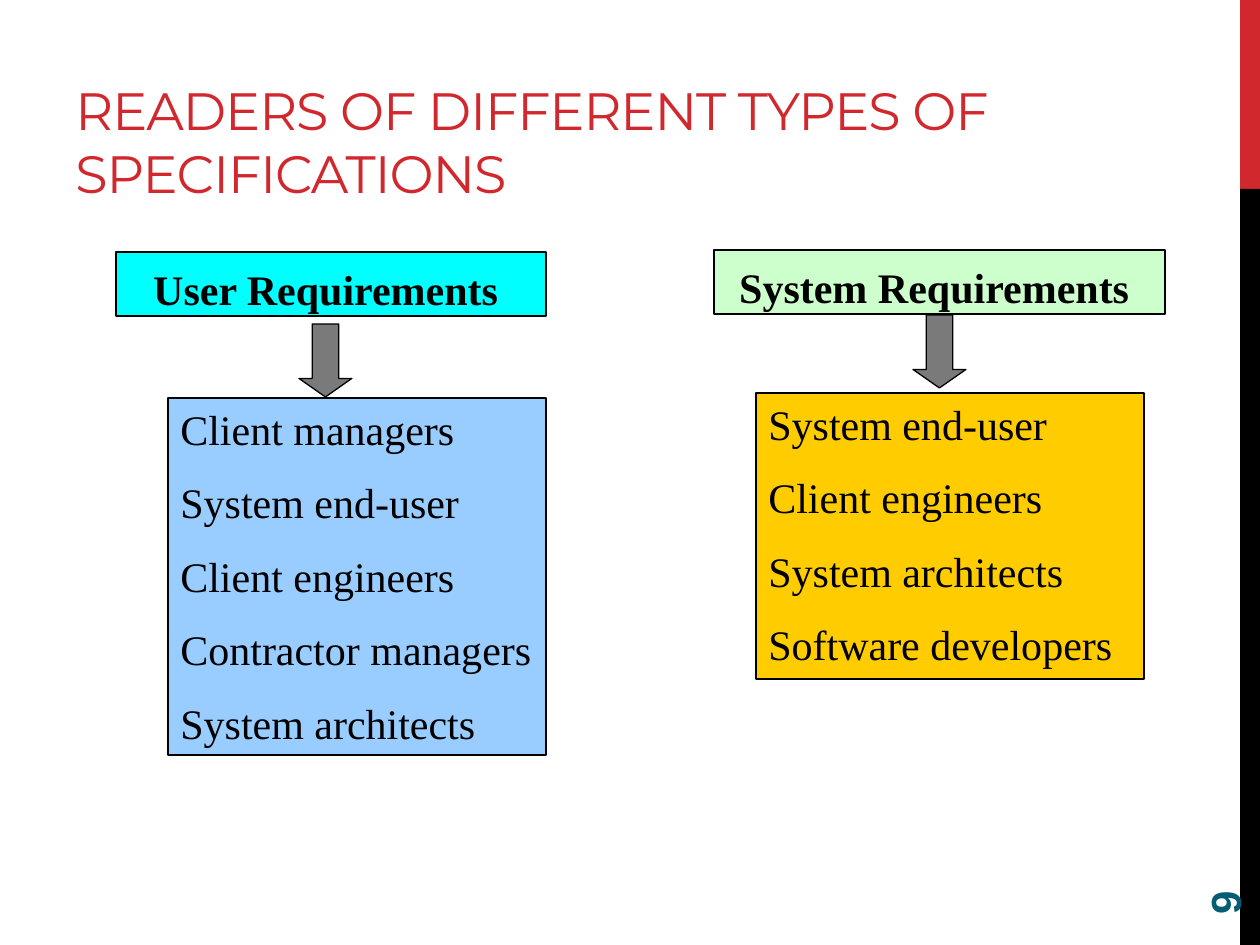
from pptx import Presentation
from pptx.dml.color import RGBColor
from pptx.enum.shapes import MSO_SHAPE
from pptx.enum.text import MSO_ANCHOR, PP_ALIGN
from pptx.util import Pt

SCALE = 914400 / 126
SERIF = "Times New Roman"


def px(n):
    """Turn px into EMU."""
    return round(n * SCALE)


def rgb(value):
    """Turn a hex string into a colour."""
    return RGBColor.from_string(value)


def add_box(s, box, fill, outlined=True, kind=MSO_SHAPE.RECTANGLE):
    """Add a filled preset shape, outlined in black if asked."""
    sp = s.shapes.add_shape(kind, *map(px, box))
    sp.shadow.inherit = False
    sp.fill.solid()
    sp.fill.fore_color.rgb = rgb(fill)
    if outlined:
        sp.line.color.rgb = rgb("000000")
        sp.line.width = Pt(0.75)
    else:
        sp.line.fill.background()
    return sp


def write(sp, lines, font, size, color, bold=False, align=PP_ALIGN.LEFT,
          anchor=MSO_ANCHOR.TOP, top=6, gap=0, spacing=0):
    """Write one paragraph per line into a shape."""
    tf = sp.text_frame
    tf.word_wrap = True
    tf.vertical_anchor = anchor
    tf.margin_top = px(top)
    for i, line in enumerate(lines):
        p = tf.add_paragraph() if i else tf.paragraphs[0]
        p.alignment = align
        if i:
            p.space_before = Pt(gap)
        r = p.add_run()
        r.text = line
        r.font.name = font
        r.font.size = Pt(size)
        r.font.bold = bold
        r.font.color.rgb = rgb(color)
        if spacing:
            r.font._element.set("spc", str(spacing))


def add_side_band(s, x, y, w, h):
    """Draw the side band, its top fifth red and the rest black."""
    red = h // 5
    add_box(s, (x, y, w, red), "D1282E", outlined=False)
    add_box(s, (x, y + red, w, h - red), "000000", outlined=False)


def add_title(s, x, y, w, h):
    """Place the slide title at the bottom of its box."""
    sp = s.shapes.add_textbox(*map(px, (x, y, w, h)))
    write(sp, ["READERS OF DIFFERENT TYPES OF SPECIFICATIONS"], "Montserrat", 30,
          "D1282E", anchor=MSO_ANCHOR.BOTTOM, spacing=-60)


def add_page_number(s, x, y, w, h):
    """Place the page number, turned to read upwards."""
    sp = s.shapes.add_textbox(*map(px, (x, y, w, h)))
    sp.rotation = 270
    write(sp, ["9"], "Arial", 24, "045C75", bold=True, anchor=MSO_ANCHOR.MIDDLE)


def add_readers(s, x, y, w, heading, heading_fill, arrow, readers, list_box, list_fill):
    """Draw a requirements heading, an arrow and the list of its readers."""
    head = add_box(s, (x, y, w, 64), heading_fill)
    write(head, [heading], SERIF, 24, "000000", bold=True,
          align=PP_ALIGN.CENTER, top=12)
    dx, dy, list_w = list_box
    body = add_box(s, (x + dx, y + dy, list_w, round(71.4 * len(readers))), list_fill)
    write(body, readers, SERIF, 24, "000000", top=5, gap=13.2)
    body.text_frame.margin_bottom = 0
    dx, dy = arrow
    down = add_box(s, (x + dx, y + dy, 53, 73), "7A7A7A", kind=MSO_SHAPE.DOWN_ARROW)
    down.adjustments[0] = 0.5
    down.adjustments[1] = 0.35


def main():
    """Build and save the slide."""
    prs = Presentation()
    prs.slide_width, prs.slide_height = px(1260), px(945)
    s = prs.slides.add_slide(prs.slide_layouts[6])
    add_side_band(s, 1240, 0, 20, 945)
    add_title(s, 63, 84, 1050, 126)
    add_page_number(s, 1134, 811, 181, 50)
    add_readers(s, 116, 252, 430, "User Requirements ", "00FFFF", (183, 72),
                ["Client managers", "System end-user", "Client engineers",
                 "Contractor managers", "System architects"],
                (52, 146, 378), "99CCFF")
    add_readers(s, 714, 250, 451, "System Requirements ", "CCFFCC", (199, 65),
                ["System end-user", "Client engineers", "System architects",
                 "Software developers"],
                (42, 143, 388), "FFCC00")
    prs.save("out.pptx")


if __name__ == "__main__":
    main()
